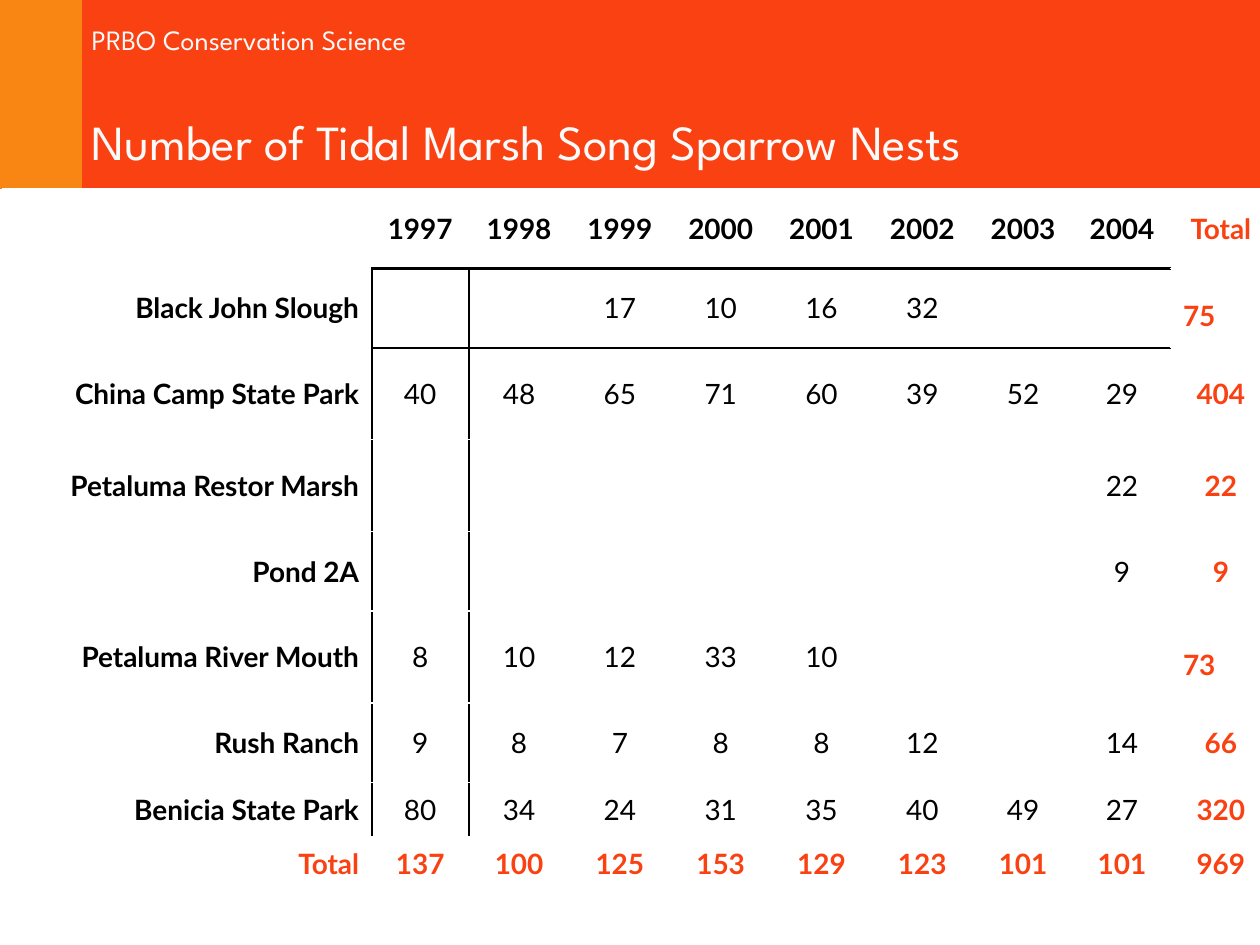
from lxml import etree
from pptx import Presentation
from pptx import util as u
from pptx.dml import color
from pptx.enum import shapes, text
from pptx.oxml import ns

ORANGE, AMBER, PALE, BLACK = "F94112", "F98513", "FAFAFA", "000000"

NESTS = [
    ("", 1997, 1998, 1999, 2000, 2001, 2002, 2003, 2004, "Total"),
    ("Black John Slough", "", "", 17, 10, 16, 32, "", "", 75),
    ("China Camp State Park", 40, 48, 65, 71, 60, 39, 52, 29, 404),
    ("Petaluma Restor Marsh", "", "", "", "", "", "", "", 22, 22),
    ("Pond 2A", "", "", "", "", "", "", "", 9, 9),
    ("Petaluma River Mouth", 8, 10, 12, 33, 10, "", "", "", 73),
    ("Rush Ranch", 9, 8, 7, 8, 8, 12, "", 14, 66),
    ("Benicia State Park", 80, 34, 24, 31, 35, 40, 49, 27, 320),
    ("Total", 137, 100, 125, 153, 129, 123, 101, 101, 969),
]
COLUMN_WIDTHS = [2.93, 0.77] + [0.8] * 6 + [0.77, 0.8]
ROW_HEIGHTS = [0.63, 0.63, 0.73, 0.73, 0.63, 0.73, 0.63, 0.43, 0.43]
LEFT_ALIGNED_TOTALS = (75, 73)


def rgb(value):
    return color.RGBColor.from_string(value)


def style(paragraph, face, size, value, bold=False, align=text.PP_ALIGN.LEFT):
    paragraph.alignment = align
    for run in paragraph.runs:
        run.font.name = face
        run.font.size = u.Pt(size)
        run.font.bold = bold
        run.font.color.rgb = rgb(value)


def add_band(slide, left, top, width, height, value):
    band = slide.shapes.add_shape(shapes.MSO_SHAPE.RECTANGLE, left, top, width, height)
    band.shadow.inherit = False
    band.fill.solid()
    band.fill.fore_color.rgb = rgb(value)
    band.line.fill.background()


def add_header(slide, left, top, width, height):
    accent_width = u.Inches(0.65)
    text_left = left + u.Inches(0.63)
    add_band(slide, left, top, width, height, ORANGE)
    add_band(slide, left, top, accent_width, height, AMBER)

    organisation = slide.shapes.add_textbox(
        text_left, top + u.Inches(0.13), u.Inches(3.06), u.Inches(0.37))
    organisation.text_frame.text = "PRBO Conservation Science"
    organisation.text_frame.word_wrap = False
    style(organisation.text_frame.paragraphs[0], "League Spartan", 16, PALE)

    title = slide.shapes.title
    title.left, title.top = text_left, top + u.Inches(0.49)
    title.width, title.height = width - u.Inches(0.63), u.Inches(1.25)
    title.text_frame.text = "Number of Tidal Marsh Song Sparrow Nests"
    title.text_frame.vertical_anchor = text.MSO_ANCHOR.MIDDLE
    style(title.text_frame.paragraphs[0], "League Spartan", 28, PALE)
    title.element.getparent().append(title.element)


def add_border(cell, side):
    properties = cell._tc.get_or_add_tcPr()
    line = etree.SubElement(properties, ns.qn("a:ln" + side), w=str(u.Pt(1.47)))
    fill = etree.SubElement(line, ns.qn("a:solidFill"))
    etree.SubElement(fill, ns.qn("a:srgbClr"), val=BLACK)


def fill_cell(cell, value, row, column):
    last_row, last_column = len(NESTS) - 1, len(COLUMN_WIDTHS) - 1
    site_row = 0 < row < last_row
    year_column = 0 < column < last_column
    is_total = row == last_row or column == last_column
    borders = {
        "L": site_row and column == 1,
        "R": site_row and column == 0,
        "T": row == 1 and year_column,
        "B": row == 0 and year_column,
    }
    for side, shown in borders.items():
        if shown:
            add_border(cell, side)
    cell.fill.background()
    cell.vertical_anchor = text.MSO_ANCHOR.MIDDLE
    cell.text_frame.text = str(value)

    paragraph = cell.text_frame.paragraphs[0]
    align = text.PP_ALIGN.RIGHT if column == 0 else text.PP_ALIGN.CENTER
    if column == last_column and value in LEFT_ALIGNED_TOTALS:
        align = text.PP_ALIGN.LEFT
        paragraph.line_spacing = u.Pt(28)
    style(paragraph, "Lato", 16, ORANGE if is_total else BLACK,
          not (site_row and year_column), align)


def add_nest_table(slide, left, top, width, height):
    nests = slide.shapes.add_table(
        len(NESTS), len(COLUMN_WIDTHS), left, top, width, height).table
    nests.first_row = nests.horz_banding = False
    for column, inches in zip(nests.columns, COLUMN_WIDTHS):
        column.width = u.Inches(inches)
    for row, inches in zip(nests.rows, ROW_HEIGHTS):
        row.height = u.Inches(inches)
    for row, values in enumerate(NESTS):
        for column, value in enumerate(values):
            fill_cell(nests.cell(row, column), value, row, column)


def main():
    deck = Presentation()
    deck.slide_width, deck.slide_height = u.Inches(10), u.Inches(7.5)
    slide = deck.slides.add_slide(deck.slide_layouts.get_by_name("Title Only"))
    add_header(slide, 0, 0, deck.slide_width, u.Inches(1.5))
    add_nest_table(slide, u.Inches(0.02), u.Inches(1.5),
                   u.Inches(sum(COLUMN_WIDTHS)), u.Inches(sum(ROW_HEIGHTS)))
    deck.save("out.pptx")


if __name__ == "__main__":
    main()
